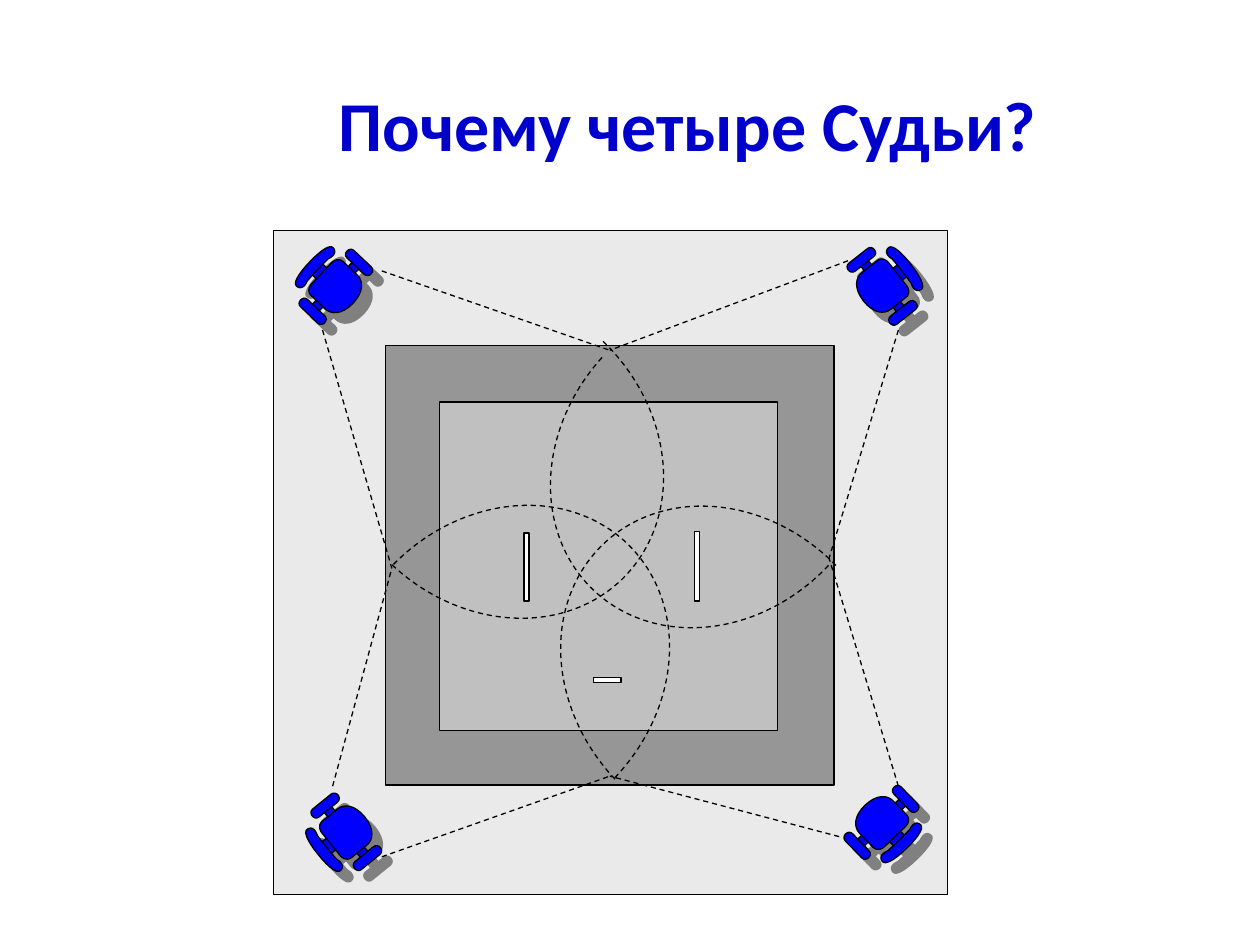
from dataclasses import dataclass

from lxml import etree
from pptx import Presentation
from pptx.dml.color import RGBColor
from pptx.enum.dml import MSO_LINE
from pptx.enum.shapes import MSO_CONNECTOR, MSO_SHAPE
from pptx.enum.text import MSO_ANCHOR
from pptx.oxml.ns import qn
from pptx.util import Inches, Pt

RECTANGLE = MSO_SHAPE.RECTANGLE
LEFT_BRACKET = MSO_SHAPE.LEFT_BRACKET
STRAIGHT = MSO_CONNECTOR.STRAIGHT
DASH = MSO_LINE.DASH
BOTTOM = MSO_ANCHOR.BOTTOM


@dataclass(frozen=True)
class Theme:
    font: str = "Calibri"
    title_size: int = 40
    title: str = "0000CC"
    hall: str = "EAEAEA"
    border: str = "969696"
    mat: str = "C0C0C0"
    mark: str = "FFFFFF"
    chair: str = "0000FF"
    shadow: str = "808080"
    line: str = "000000"
    line_width: float = 0.75


THEME = Theme()
TITLE = "Почему четыре Судьи?"

# left, top, width, height, fill
FLOOR = [
    (2.17, 1.83, 5.35, 5.27, THEME.hall),
    (3.06, 2.74, 3.56, 3.49, THEME.border),
    (3.49, 3.19, 2.68, 2.61, THEME.mat),
    (4.16, 4.23, 0.04, 0.54, THEME.mark),
    (5.51, 4.22, 0.04, 0.55, THEME.mark),
    (4.71, 5.38, 0.22, 0.04, THEME.mark),
]

# centre x, centre y, rotation
CHAIRS = [
    (2.63, 2.24, 313.5),
    (7.03, 6.56, 136),
    (2.71, 6.63, 231.1),
    (7.04, 2.24, 51.9),
]

# Right half of a chair in hundredths of an inch, from the middle of the back
# to the middle of the seat front: one point is a line, three are a curve.
HALF_START = (0, -23.5)
HALF_CHAIR = [
    [(15, -23.5), (21, -21), (21, -18)],
    [(21, -15), (19, -12), (12, -14.5)],
    [(6, -14.7)], [(6, -10.4)], [(11.6, -10.4)],
    [(15.8, -10.4), (18.5, -7.5), (18.5, -4.5)],
    [(18.5, 1.2)], [(22.7, 1.2)], [(22.7, -4.2)],
    [(22.7, -9.2), (30.8, -9.2), (30.8, -4.2)],
    [(30.8, 14.5)],
    [(30.8, 19.7), (22.7, 19.7), (22.7, 14.5)],
    [(22.7, 8.7)], [(18.5, 8.7)], [(18.5, 11.1)],
    [(18.5, 17.5), (12.8, 24), (0, 24)],
]
ARM_SEAMS = [((18.5, 1.2), (18.5, 8.7)), ((22.7, 1.2), (22.7, 8.7))]
BACK_SEAMS = [((-6, y), (6, y)) for y in (-14.7, -10.4)]

# Meeting point of two sight lines, with the chair ends that look at it
SIGHT_LINES = [
    ((3.11, 4.51), [(2.56, 2.62), (2.64, 6.24)]),
    ((4.84, 2.78), [(3.03, 2.15), (6.73, 2.07)]),
    ((4.84, 6.16), [(3.03, 6.8), (6.66, 6.64)]),
    ((6.58, 4.43), [(7.13, 6.24), (7.13, 2.62)]),
]

# left, top, rotation
ARC_SIZE = (1.42, 2.44)
ARC_BEND = 0.86
ARCS = [
    (3.78, 3.61, 134.6),
    (4.49, 2.95, 313.2),
    (4.57, 3.61, 46.6),
    (3.74, 2.86, 224),
]


def color(value):
    return RGBColor.from_string(value)


def style_line(shape, dash=None):
    shape.line.color.rgb = color(THEME.line)
    shape.line.width = Pt(THEME.line_width)
    if dash is not None:
        shape.line.dash_style = dash


def style_shape(shape, fill=None, dash=None):
    shape.shadow.inherit = False
    if fill:
        shape.fill.solid()
        shape.fill.fore_color.rgb = color(fill)
    else:
        shape.fill.background()
    style_line(shape, dash)


def add_text(page, text, at, font, size, fill, indent):
    box = page.shapes.add_textbox(*map(Inches, at))
    frame = box.text_frame
    frame.word_wrap = True
    frame.vertical_anchor = BOTTOM
    frame.margin_left = Inches(indent)
    frame.margin_bottom = Inches(0.02)
    span = frame.paragraphs[0].add_run()
    span.text = text
    span.font.name = font
    span.font.size = Pt(size)
    span.font.bold = True
    span.font.color.rgb = color(fill)


def half_outline(steps=8):
    """Flatten the lines and Bézier curves of half a chair into points."""
    points = [HALF_START]
    for segment in HALF_CHAIR:
        if len(segment) == 1:
            points += segment
            continue
        corners = [points[-1], *segment]
        for step in range(1, steps + 1):
            t = step / steps
            weights = ((1 - t) ** 3, 3 * t * (1 - t) ** 2, 3 * t * t * (1 - t), t ** 3)
            points.append(tuple(sum(w * c[axis] for w, c in zip(weights, corners))
                                for axis in (0, 1)))
    return points


def mirror(points):
    return [(-x, y) for x, y in points]


def add_drop_shadow(shape):
    effects = shape._element.spPr.find(qn("a:effectLst"))
    shadow = etree.SubElement(effects, qn("a:outerShdw"), dist=str(Pt(8.5)),
                              dir="2700000", algn="ctr", rotWithShape="0")
    etree.SubElement(shadow, qn("a:srgbClr"), val=THEME.shadow)


def add_chair(page, center_x, center_y, rotation):
    def place(points):
        return [(Inches(center_x + x / 100), Inches(center_y + y / 100)) for x, y in points]

    half = half_outline()
    outline = place(half + mirror(half)[-2:0:-1])
    builder = page.shapes.build_freeform(*outline[0], scale=1.0)
    builder.add_line_segments(outline[1:], close=True)
    for seam in BACK_SEAMS + ARM_SEAMS + [mirror(seam) for seam in ARM_SEAMS]:
        start, end = place(seam)
        builder.move_to(*start)
        builder.add_line_segments([end], close=False)
    chair = builder.convert_to_shape()
    style_shape(chair, THEME.chair)
    add_drop_shadow(chair)
    chair.rotation = rotation


def add_sight_line(page, start, end):
    line = page.shapes.add_connector(STRAIGHT, *map(Inches, start + end))
    style_line(line, DASH)
    etree.SubElement(line._element.spPr, qn("a:effectLst"))


def main():
    deck = Presentation()
    deck.slide_width, deck.slide_height = Inches(10), Inches(7.5)
    page = deck.slides.add_slide(deck.slide_layouts[6])

    add_text(page, TITLE, (0.75, 0.83, 8.83, 0.5), font=THEME.font,
             size=THEME.title_size, fill=THEME.title, indent=1.94)
    for *place, fill in FLOOR:
        style_shape(page.shapes.add_shape(RECTANGLE, *map(Inches, place)), fill)
    for chair in CHAIRS:
        add_chair(page, *chair)
    for target, starts in SIGHT_LINES:
        for start in starts:
            add_sight_line(page, start, target)
    for left, top, rotation in ARCS:
        arc = page.shapes.add_shape(LEFT_BRACKET, *map(Inches, (left, top, *ARC_SIZE)))
        arc.adjustments[0] = ARC_BEND
        arc.rotation = rotation
        style_shape(arc, dash=DASH)

    deck.save("out.pptx")


if __name__ == "__main__":
    main()
